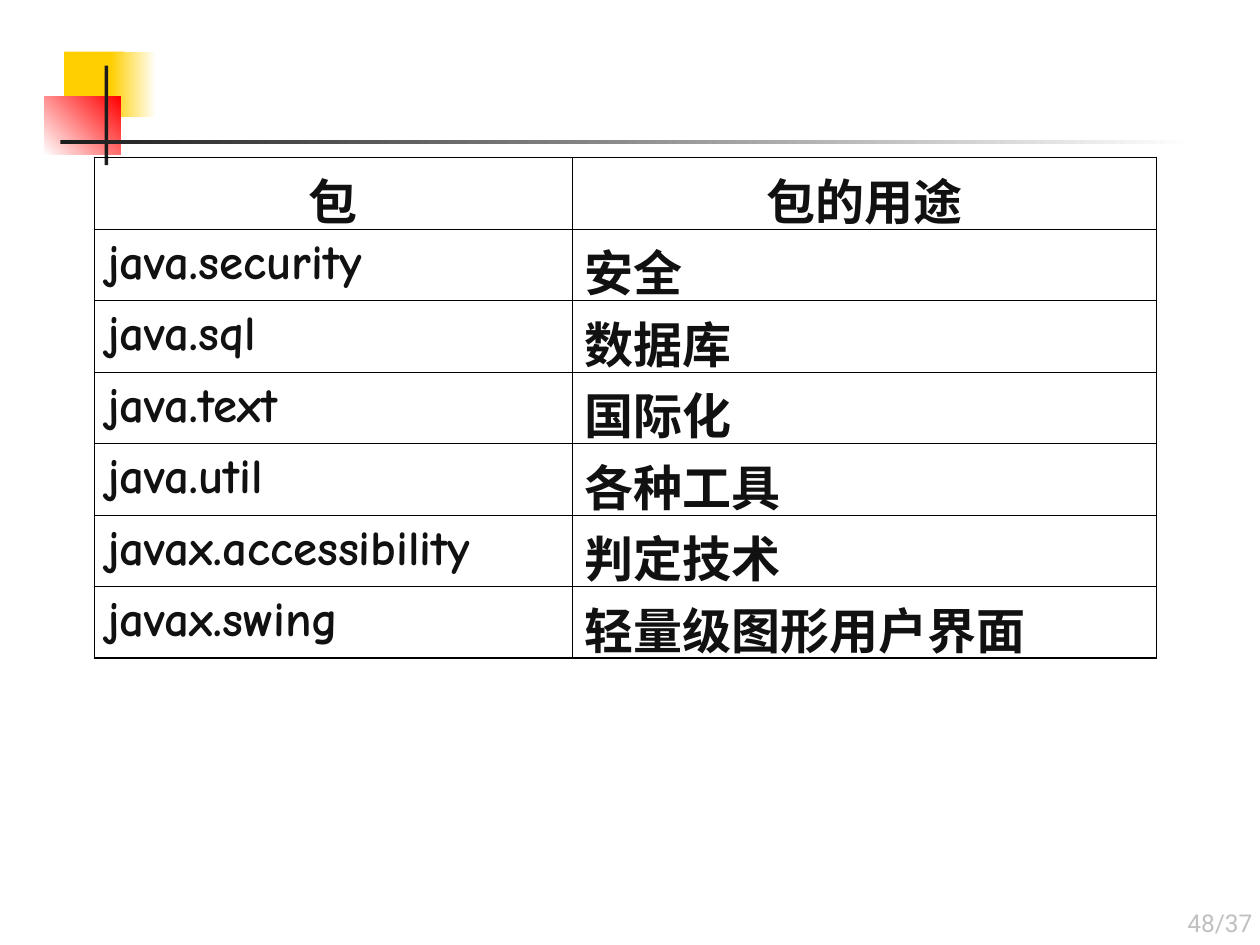
from lxml import etree
from pptx import Presentation
from pptx.dml.color import RGBColor
from pptx.enum.shapes import MSO_SHAPE
from pptx.enum.text import MSO_ANCHOR, PP_ALIGN
from pptx.oxml.ns import qn
from pptx.util import Inches, Pt

RECT = MSO_SHAPE.RECTANGLE
LEFT, CENTER, RIGHT = PP_ALIGN.LEFT, PP_ALIGN.CENTER, PP_ALIGN.RIGHT
BOTTOM = MSO_ANCHOR.BOTTOM
THICK, THIN = Pt(1.08), Pt(0.45)


def color(value):
    return RGBColor.from_string(value)


def write(p, text, align, fmt, hex_color):
    p.alignment = align
    r = p.add_run()
    r.text = text
    for name, value in fmt.items():
        setattr(r.font, name, value)
    r.font.color.rgb = color(hex_color)


prs = Presentation()
prs.slide_width, prs.slide_height = Inches(10), Inches(7.5)
s = prs.slides.add_slide(prs.slide_layouts[6])

# Corner ornament: box, gradient colours (one colour means solid), angle
ornament = [
    ((0.51, 0.41, 0.48, 0.52), ["FFCF01"], 0),
    ((0.88, 0.41, 0.36, 0.52), ["FFCF01", "FFFFFF"], 0),
    ((0.35, 0.77, 0.61, 0.46), ["FFFFFF", "FF0000"], 45),
    ((0.83, 0.52, 0.03, 0.79), ["1C1C1C"], 0),
    ((0.48, 1.11, 9, 0.03), ["1C1C1C", "FFFFFF"], 0),
]
for box, colors, angle in ornament:
    sp = s.shapes.add_shape(RECT, *map(Inches, box))
    sp.shadow.inherit = False
    sp.line.fill.background()
    if len(colors) == 1:
        sp.fill.solid()
        sp.fill.fore_color.rgb = color(colors[0])
    else:
        sp.fill.gradient()
        sp.fill.gradient_angle = angle
        for stop, value in zip(sp.fill.gradient_stops, colors):
            stop.color.rgb = color(value)

# Page number
tf = s.shapes.add_textbox(*map(Inches, (7.96, 7.06, 2.08, 0.43))).text_frame
tf.word_wrap = True
tf.vertical_anchor = BOTTOM
write(tf.paragraphs[0], "48/37", RIGHT, {"name": "Roboto", "size": Pt(14)}, "C0C0C0")

# Package table
rows = [
    ("包", "包的用途"),
    ("java.security", "安全"),
    ("java.sql", "数据库"),
    ("java.text", "国际化"),
    ("java.util", "各种工具"),
    ("javax.accessibility", "判定技术"),
    ("javax.swing", "轻量级图形用户界面"),
]
widths = (3.79, 4.64)
height = 3.97
cell_font = {"name": "Comic Neue", "size": Pt(28), "bold": True}
last_row, last_col = len(rows) - 1, len(widths) - 1

table = s.shapes.add_table(len(rows), len(widths), Inches(0.75), Inches(1.25),
                           Inches(sum(widths)), Inches(height)).table
table.first_row = table.horz_banding = False
for col, width in zip(table.columns, widths):
    col.width = Inches(width)
for row in table.rows:
    row.height = Inches(height / len(rows))

for i, texts in enumerate(rows):
    for j, text in enumerate(texts):
        cell = table.cell(i, j)
        write(cell.text_frame.paragraphs[0], text, LEFT if i else CENTER,
              cell_font, "111111")
        # Thick lines on the outer edge, thin lines inside
        outer = {"a:lnL": j == 0, "a:lnR": j == last_col,
                 "a:lnT": i == 0, "a:lnB": i == last_row}
        tcPr = cell._tc.get_or_add_tcPr()
        for tag, is_outer in outer.items():
            ln = etree.SubElement(tcPr, qn(tag), w=str(THICK if is_outer else THIN))
            fill = etree.SubElement(ln, qn("a:solidFill"))
            etree.SubElement(fill, qn("a:srgbClr"), val="000000")
        cell.fill.background()

prs.save("out.pptx")
